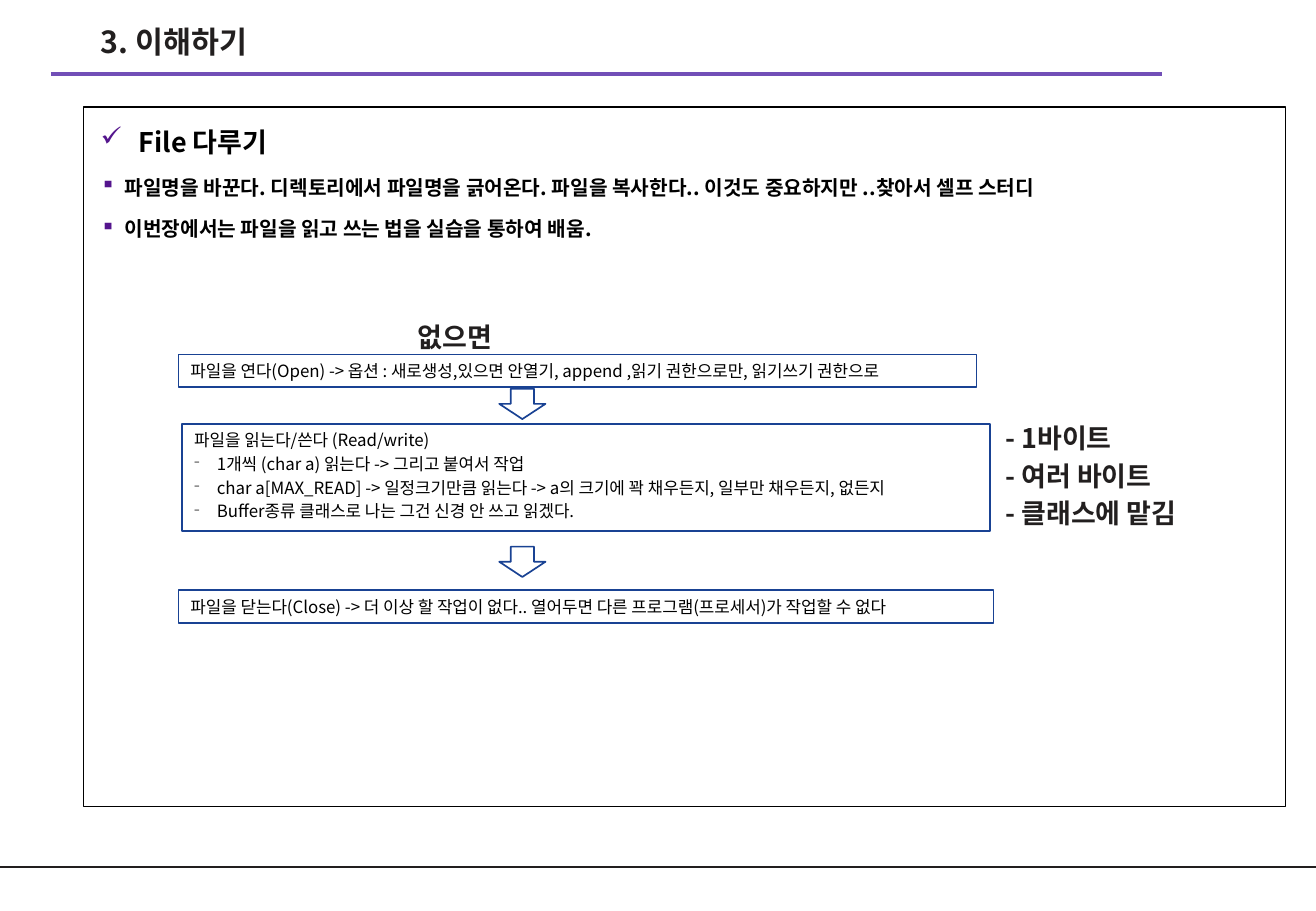
import pptx
import pptx.util
import pptx.dml.color
import pptx.enum.shapes
import pptx.enum.text
import pptx.oxml.ns
import lxml.etree

Pt = pptx.util.Pt
SHAPES = pptx.enum.shapes.MSO_SHAPE
FONT = "Noto Sans CJK KR"
INK, BLACK, BLUE, PURPLE = "221F1F", "000000", "194293", "54158D"


def color(hex_code):
    """Turn a hex string into a colour."""
    return pptx.dml.color.RGBColor.from_string(hex_code)


def add_xml(parent, tag, **attributes):
    """Append a DrawingML element."""
    return lxml.etree.SubElement(parent, pptx.oxml.ns.qn(tag), **attributes)


def format_paragraph(paragraph, size, hex_code, bold=False, before=0, spacing=None):
    """Set the font and spacing of a left-aligned paragraph."""
    paragraph.alignment = pptx.enum.text.PP_ALIGN.LEFT
    paragraph.space_before = Pt(before)
    if spacing:
        paragraph.line_spacing = spacing
    for run in paragraph.runs:
        run.font.size, run.font.bold, run.font.name = Pt(size), bold, FONT
        run.font.color.rgb = color(hex_code)
        add_xml(run.font._element, "a:ea", typeface=FONT)


def add_bullet(paragraph, mark, hex_code, indent):
    """Give a paragraph a coloured bullet with a hanging indent."""
    properties = paragraph._p.get_or_add_pPr()
    properties.set("marL", str(Pt(indent)))
    properties.set("indent", str(-Pt(indent)))
    add_xml(add_xml(properties, "a:buClr"), "a:srgbClr", val=hex_code)
    add_xml(properties, "a:buChar", char=mark)


def prepare_frame(frame, text, margins=(7.2, 3.6)):
    """Fill a wrapping, top-anchored text frame."""
    frame.text = text
    frame.word_wrap = True
    frame.auto_size = pptx.enum.text.MSO_AUTO_SIZE.NONE
    frame.vertical_anchor = pptx.enum.text.MSO_ANCHOR.TOP
    frame.margin_left = frame.margin_right = Pt(margins[0])
    frame.margin_top = frame.margin_bottom = Pt(margins[1])
    return frame.paragraphs


def add_outline(slide, kind, box, hex_code, width):
    """Draw an unfilled preset shape."""
    outline = slide.shapes.add_shape(kind, *map(Pt, box))
    outline.shadow.inherit = False
    outline.fill.background()
    outline.line.color.rgb = color(hex_code)
    outline.line.width = Pt(width)
    return outline


def add_rule(slide, left, right, y, hex_code, width):
    """Draw a horizontal rule."""
    ends = map(Pt, (left, y, right, y))
    rule = slide.shapes.add_connector(pptx.enum.shapes.MSO_CONNECTOR.STRAIGHT, *ends)
    rule.line.color.rgb = color(hex_code)
    rule.line.width = Pt(width)
    add_xml(rule._element.spPr, "a:effectLst")


def add_heading(slide, box):
    """Place the title and the rule beneath it."""
    left, top, width, height = box
    title = slide.shapes.title
    title.left, title.top, title.width, title.height = map(Pt, box)
    format_paragraph(prepare_frame(title.text_frame, "3. 이해하기")[0], 18, INK, True)
    add_rule(slide, left - 22.4, left + 636.4, top + 33.8, "724FB7", 2.25)


def add_topic_panel(slide, box):
    """Place the framed topic with its points."""
    panel = add_outline(slide, SHAPES.RECTANGLE, box, BLACK, 0.75)
    topic, *points = prepare_frame(panel.text_frame, "\n".join([
        "File 다루기",
        "파일명을 바꾼다. 디렉토리에서 파일명을 긁어온다. 파일을 복사한다.. 이것도 중요하지만 ..찾아서 셀프 스터디",
        "이번장에서는 파일을 읽고 쓰는 법을 실습을 통하여 배움.",
    ]), (10, 5))
    format_paragraph(topic, 16, BLACK, True, 8, 1.3)
    add_bullet(topic, "✓", PURPLE, 22.5)
    for point in points:
        format_paragraph(point, 12, BLACK, True, 6, 1.3)
        add_bullet(point, "▪", PURPLE, 14.2)


def add_step(slide, box, text):
    """Place a step whose lines after the first are dashed."""
    step = add_outline(slide, SHAPES.RECTANGLE, box, BLUE, 1)
    for number, line in enumerate(prepare_frame(step.text_frame, text)):
        format_paragraph(line, 10, BLACK, before=2)
        if number:
            add_bullet(line, "-", "808080", 13.5)


def add_note(slide, box, text):
    """Place a bold note beside the steps."""
    note = slide.shapes.add_textbox(*map(Pt, box))
    for line in prepare_frame(note.text_frame, text):
        format_paragraph(line, 16, INK, True, 3.2)


def add_file_flow(slide, box):
    """Place the open, read/write and close steps with arrows and notes."""
    left, top, width, height = box
    add_step(slide, (left, top + 23.7, width - 10.1, 19.4),
             "파일을 연다(Open) -> 옵션 : 새로생성,있으면 안열기, append ,읽기 권한으로만, 읽기쓰기 권한으로")
    add_step(slide, (left, top + height - 19.4, width, 19.4),
             "파일을 닫는다(Close) -> 더 이상 할 작업이 없다.. 열어두면 다른 프로그램(프로세서)가 작업할 수 없다")
    add_step(slide, (left + 2.2, top + 64.8, width - 4.3, 63.4), "\n".join([
        "파일을 읽는다/쓴다 (Read/write)",
        "1개씩 (char a) 읽는다 -> 그리고 붙여서 작업",
        "char a[MAX_READ] -> 일정크기만큼 읽는다 -> a의 크기에 꽉 채우든지, 일부만 채우든지, 없든지",
        "Buffer종류 클래스로 나는 그건 신경 안 쓰고 읽겠다.",
    ]))
    for drop in (43.9, 137.5):
        add_outline(slide, SHAPES.DOWN_ARROW, (left + 190.1, top + drop, 27.4, 18), BLUE, 1)
    add_note(slide, (left + 134.7, top, 122.4, 26.6), "없으면")
    add_note(slide, (left + width, top + 59.7, 166.3, 73.4),
             "- 1바이트\n- 여러 바이트\n- 클래스에 맡김")


def main():
    """Build and save the slide."""
    deck = pptx.Presentation()
    deck.slide_width, deck.slide_height = Pt(780), Pt(540)
    slide = deck.slides.add_slide(deck.slide_layouts[5])
    add_rule(slide, 0, 780, 514.1, INK, 1)
    add_heading(slide, (52.6, 10.1, 399.6, 34.6))
    add_topic_panel(slide, (49.7, 63.4, 712.1, 414.7))
    add_file_flow(slide, (105.8, 186.5, 483.1, 182.8))
    deck.save("out.pptx")


if __name__ == "__main__":
    main()
